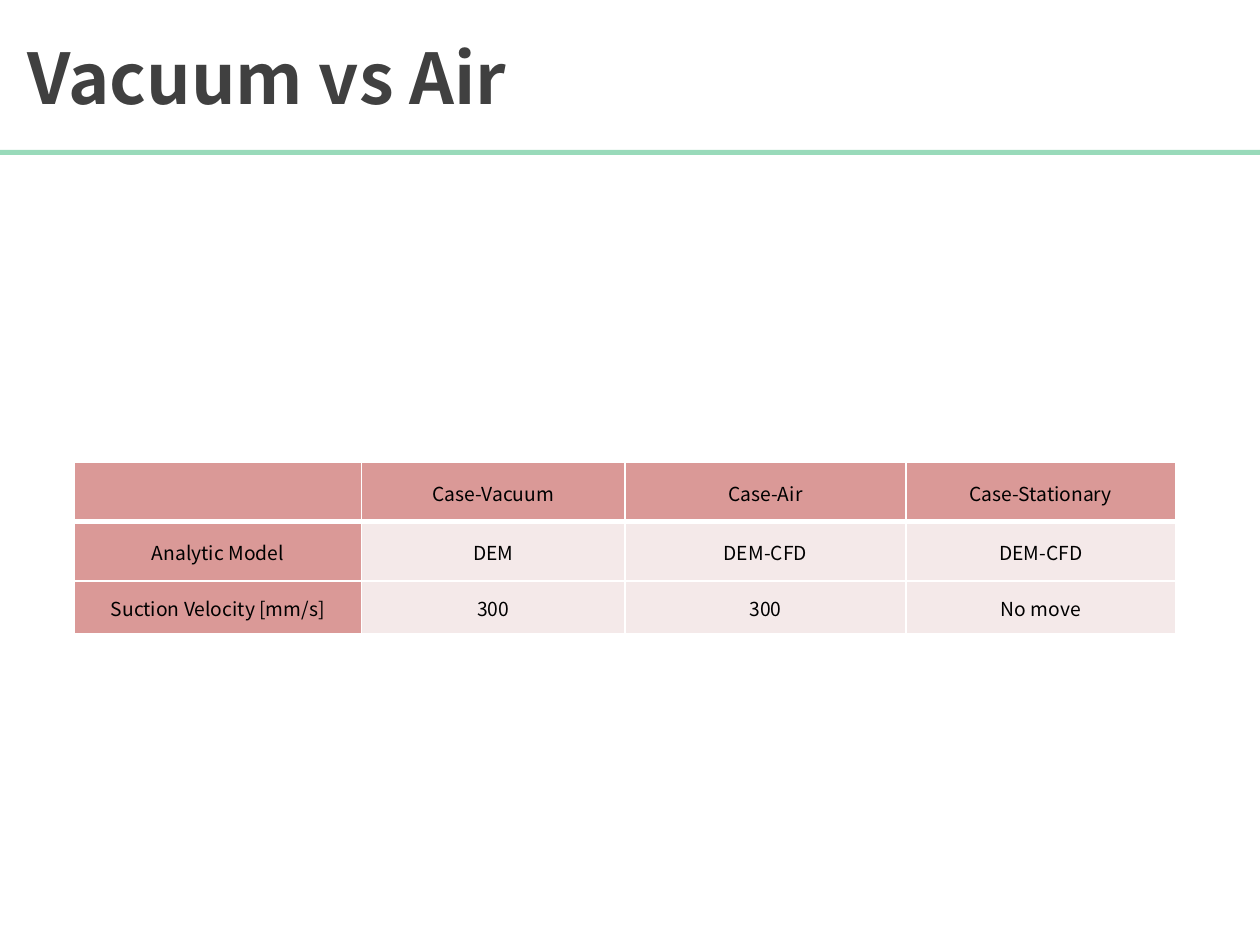
from dataclasses import dataclass

from lxml.etree import SubElement
from pptx import Presentation
from pptx.dml.color import RGBColor
from pptx.enum.shapes import MSO_SHAPE
from pptx.enum.text import MSO_ANCHOR, MSO_AUTO_SIZE, PP_ALIGN
from pptx.oxml.ns import qn
from pptx.util import Inches, Pt


@dataclass(frozen=True)
class Theme:
    font: str = "Noto Sans CJK KR"
    title_size: int = 40
    table_size: int = 11
    title: str = "404040"
    text: str = "000000"
    rule: str = "99DABA"
    header: str = "DA9997"
    body: str = "F4E9E9"
    border: str = "FFFFFF"


THEME = Theme()
SLIDE_WIDTH, SLIDE_HEIGHT = 10, 7.5

CASES = [
    ["", "Case-Vacuum", "Case-Air", "Case-Stationary"],
    ["Analytic Model", "DEM", "DEM-CFD", "DEM-CFD"],
    ["Suction Velocity [mm/s]", "300", "300", "No move"],
]
COLUMN_WIDTHS = [2.28, 2.09, 2.23, 2.14]
ROW_HEIGHTS = [0.47, 0.47, 0.42]


def apply_format(target, values):
    for name, value in values.items():
        setattr(target, name, value)


def write_text(text_frame, text, size, color, align, bold=False):
    paragraph = text_frame.paragraphs[0]
    paragraph.alignment = align
    run = paragraph.add_run()
    run.text = text
    apply_format(run.font, {"name": THEME.font, "size": Pt(size), "bold": bold})
    run.font.color.rgb = RGBColor.from_string(color)
    east_asian = SubElement(run.font._element, qn("a:ea"))
    east_asian.set("typeface", THEME.font)


def add_heading(slide, text, left, top, width, height):
    """Fill the title placeholder and draw the rule under it."""
    rule_height = 0.04
    title = slide.shapes.title
    apply_format(title, {
        "left": Inches(left), "top": Inches(top),
        "width": Inches(width), "height": Inches(height - rule_height),
    })
    apply_format(title.text_frame, {
        "margin_left": Inches(0.22), "vertical_anchor": MSO_ANCHOR.MIDDLE,
        "word_wrap": True, "auto_size": MSO_AUTO_SIZE.NONE,
    })
    write_text(title.text_frame, text, THEME.title_size, THEME.title,
               PP_ALIGN.LEFT, bold=True)

    rule = slide.shapes.add_shape(
        MSO_SHAPE.RECTANGLE, Inches(left), Inches(top + height - rule_height),
        Inches(width), Inches(rule_height))
    rule.shadow.inherit = False
    rule.fill.solid()
    rule.fill.fore_color.rgb = RGBColor.from_string(THEME.rule)
    rule.line.fill.background()


def set_borders(cell, widths):
    properties = cell._tc.get_or_add_tcPr()
    for side, width in widths.items():
        line = SubElement(properties, qn(f"a:ln{side}"), w=str(Pt(width)))
        fill = SubElement(line, qn("a:solidFill"))
        SubElement(fill, qn("a:srgbClr"), val=THEME.border)


def add_case_table(slide, left, top):
    table = slide.shapes.add_table(
        len(CASES), len(CASES[0]), Inches(left), Inches(top),
        Inches(sum(COLUMN_WIDTHS)), Inches(sum(ROW_HEIGHTS))).table
    for column, width in zip(table.columns, COLUMN_WIDTHS):
        column.width = Inches(width)
    for row, height in zip(table.rows, ROW_HEIGHTS):
        row.height = Inches(height)

    for row, texts in enumerate(CASES):
        for column, text in enumerate(texts):
            cell = table.cell(row, column)
            apply_format(cell, {
                "margin_left": Inches(0.01), "margin_right": Inches(0.01),
                "margin_top": Inches(0.01), "margin_bottom": 0,
                "vertical_anchor": MSO_ANCHOR.MIDDLE,
            })
            set_borders(cell, {"L": 1, "R": 1, "T": 3 if row == 1 else 1,
                               "B": 3 if row == 0 else 1})
            is_header = row == 0 or column == 0
            cell.fill.solid()
            cell.fill.fore_color.rgb = RGBColor.from_string(
                THEME.header if is_header else THEME.body)
            if text:
                write_text(cell.text_frame, text, THEME.table_size,
                           THEME.text, PP_ALIGN.CENTER)


def main():
    presentation = Presentation()
    presentation.slide_width = Inches(SLIDE_WIDTH)
    presentation.slide_height = Inches(SLIDE_HEIGHT)
    slide = presentation.slides.add_slide(presentation.slide_layouts[5])
    add_heading(slide, "Vacuum vs Air", 0, 0.02, SLIDE_WIDTH, 1.21)
    add_case_table(slide, 0.59, 3.67)
    presentation.save("out.pptx")


if __name__ == "__main__":
    main()
